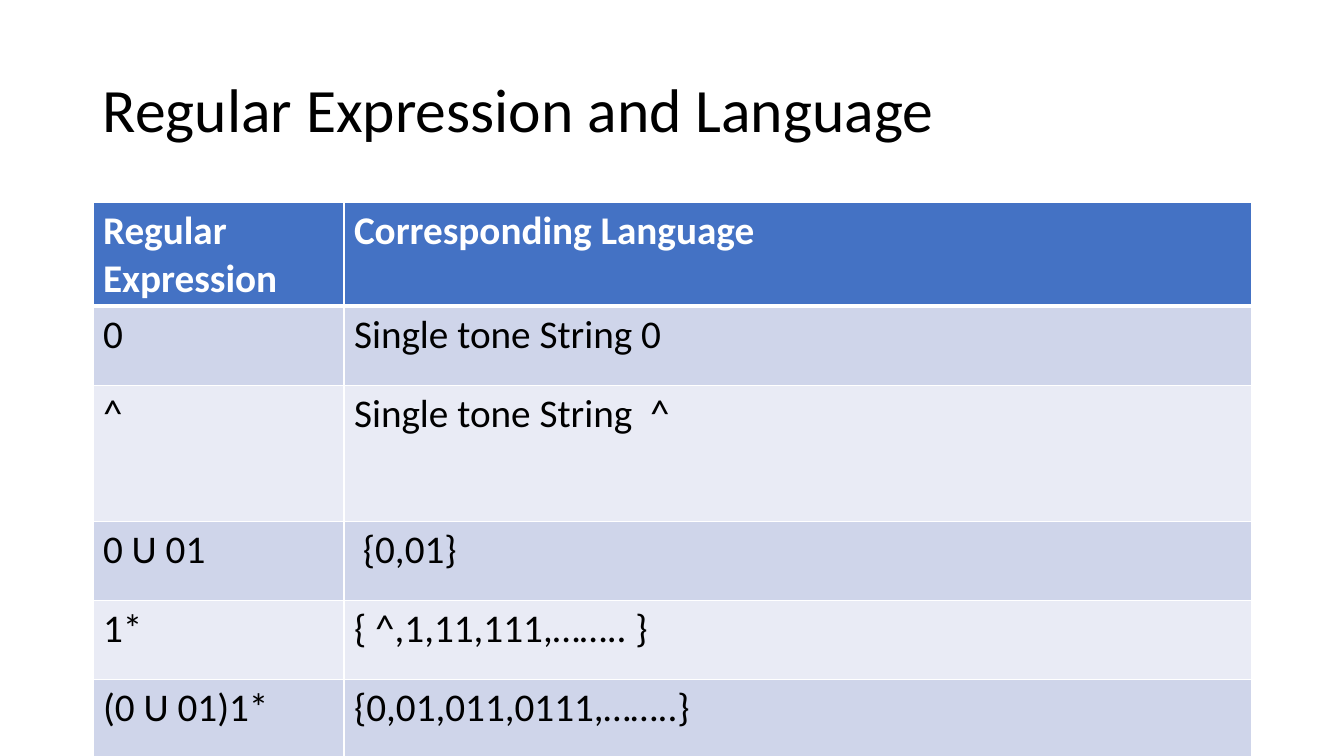
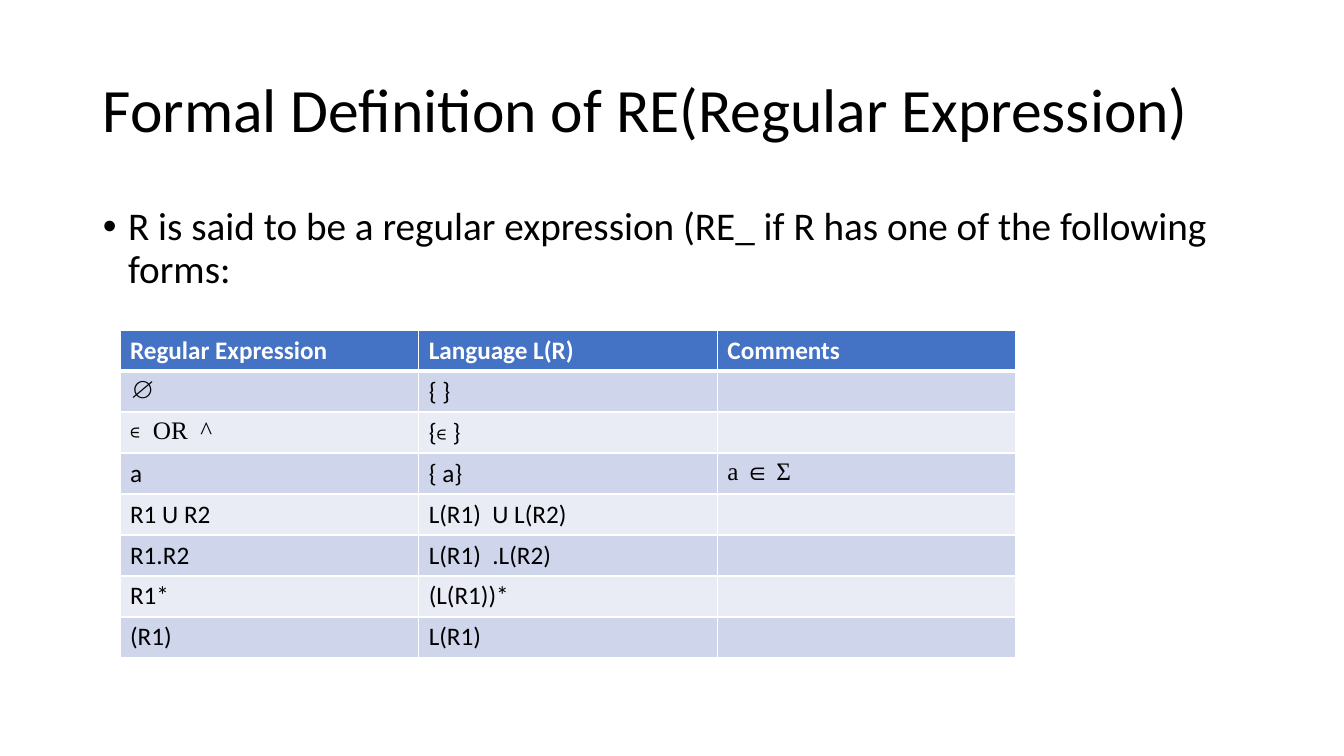
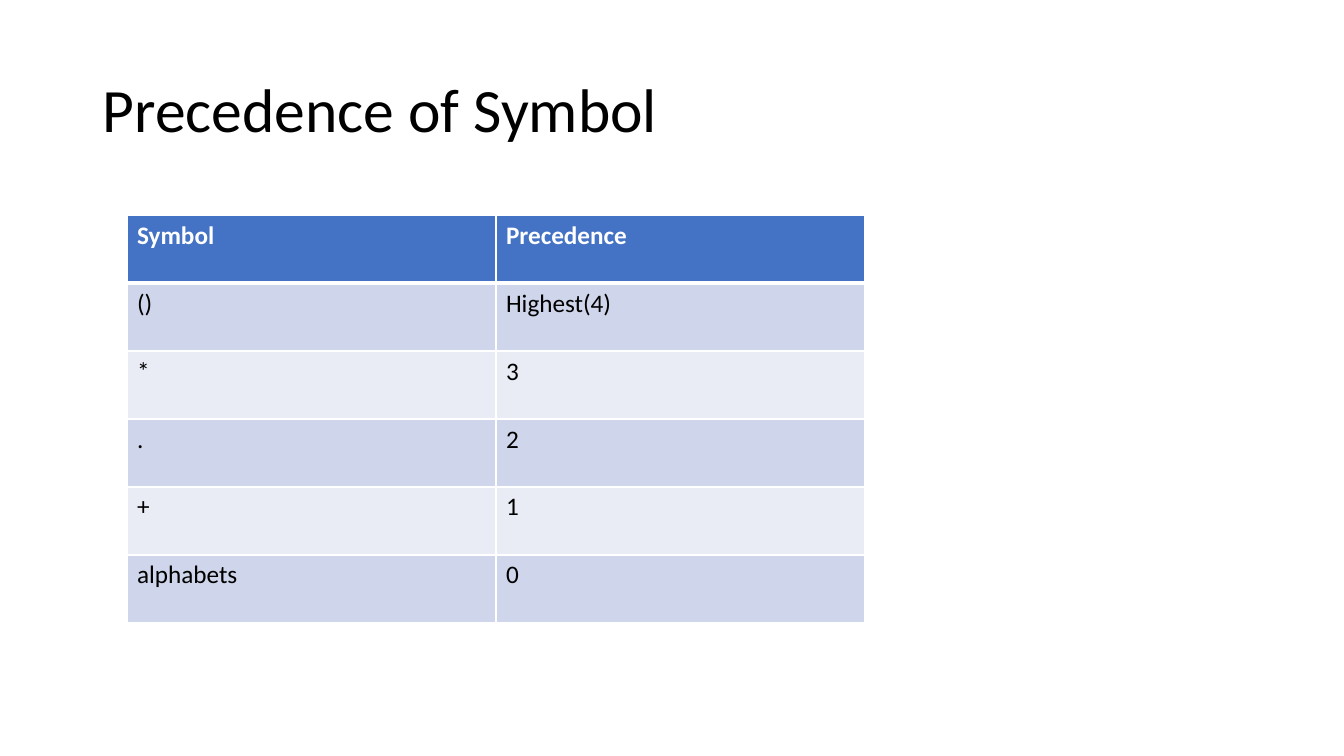
from pptx import Presentation
from pptx import util as u
from pptx.dml.color import RGBColor
from pptx.enum import text
from pptx.oxml.ns import qn
from lxml import etree

SCALE = 914400 / 100.8
COLORS = {
    "white": "FFFFFF",
    "black": "000000",
    "header": "4472C4",
    "odd_row": "CFD5EA",
    "even_row": "E9EBF5",
}
SANS = "Calibri"
SERIF = "Times New Roman"


def px(length):
    """Turn pixels into EMU."""
    return u.Emu(round(length * SCALE))


def add_runs(paragraph, content, size, color="black", bold=False):
    """Add content, a string or a list of (text, font) pairs, run by run."""
    pairs = [(content, SANS)] if isinstance(content, str) else content
    for words, font_name in pairs:
        run = paragraph.add_run()
        run.text = words
        run.font.name = font_name
        run.font.size = u.Pt(size)
        run.font.bold = bold
        run.font.color.rgb = RGBColor.from_string(COLORS[color])


def add_text(slide, box, content, size, anchor):
    """Add a wrapped text box and return its paragraph."""
    frame = slide.shapes.add_textbox(*map(px, box)).text_frame
    frame.word_wrap = True
    frame.vertical_anchor = anchor
    paragraph = frame.paragraphs[0]
    paragraph.line_spacing = 0.9
    add_runs(paragraph, content, size)
    return paragraph


def add_titled_slide(presentation, title):
    """Add a blank slide with the shared title style."""
    slide = presentation.slides.add_slide(presentation.slide_layouts[6])
    add_text(slide, (93, 40, 1159, 146), title, 44, text.MSO_ANCHOR.MIDDLE)
    return slide


def add_bullet(slide, box, content):
    """Add a bulleted paragraph with a hanging indent."""
    paragraph = add_text(slide, box, content, 28, text.MSO_ANCHOR.TOP)
    paragraph.space_before = u.Pt(10)
    properties = paragraph._p.get_or_add_pPr()
    properties.set("marL", str(u.Inches(0.25)))
    properties.set("indent", str(-u.Inches(0.25)))
    etree.SubElement(properties, qn("a:buFont"), typeface="Arial")
    etree.SubElement(properties, qn("a:buChar"), char="•")


def set_borders(cell, top, bottom):
    """Draw white cell borders; top and bottom widths are in points."""
    properties = cell._tc.get_or_add_tcPr()
    for side, width in (("L", 1), ("R", 1), ("T", top), ("B", bottom)):
        line = etree.SubElement(properties, qn(f"a:ln{side}"), w=str(u.Pt(width)))
        fill = etree.SubElement(line, qn("a:solidFill"))
        etree.SubElement(fill, qn("a:srgbClr"), val=COLORS["white"])


def add_banded_table(slide, left, top, widths, heights, rows, size):
    """Add a table with a blue header row and alternating bands."""
    frame = slide.shapes.add_table(len(rows), len(widths), px(left), px(top),
                                   px(sum(widths)), px(sum(heights)))
    table = frame.table
    table.horz_banding = False
    for column, width in zip(table.columns, widths):
        column.width = px(width)
    for row_index, (row, height) in enumerate(zip(rows, heights)):
        table.rows[row_index].height = px(height)
        is_header = row_index == 0
        band = "header" if is_header else "odd_row" if row_index % 2 else "even_row"
        for column_index, content in enumerate(row):
            cell = table.cell(row_index, column_index)
            set_borders(cell, 3 if row_index == 1 else 1, 3 if is_header else 1)
            cell.fill.solid()
            cell.fill.fore_color.rgb = RGBColor.from_string(COLORS[band])
            if content:
                add_runs(cell.text_frame.paragraphs[0], content, size,
                         "white" if is_header else "black", is_header)


def add_language_slide(presentation):
    """Show expressions beside the languages they describe."""
    slide = add_titled_slide(presentation, "Regular Expression and Language")
    rows = [
        ("Regular Expression", "Corresponding Language"),
        ("0", "Single tone String 0"),
        ("^", "Single tone String  ^"),
        ("0 U 01", " {0,01}"),
        ("1*", "{ ^,1,11,111,…….. }"),
        ("(0 U 01)1*", "{0,01,011,0111,……..}"),
    ]
    add_banded_table(slide, 93, 202, (251, 908), (79, 79, 136, 79, 79, 79), rows, 28)


def add_definition_slide(presentation):
    """Show the forms that a regular expression can take."""
    slide = add_titled_slide(presentation, "Formal Definition of RE(Regular Expression)")
    add_bullet(slide, (93, 202, 1159, 480),
               "R is said to be a regular expression (RE_ if R has one of "
               "the following forms:")
    rows = [
        ("Regular Expression", "Language L(R)", "Comments"),
        ([("∅", SERIF)], "{ }", ""),
        ([("∊  OR  ^", SERIF)], [("{", SANS), ("∊", SERIF), (" }", SANS)], ""),
        ("a", "{ a}", [("a ∈ Σ", SERIF)]),
        ("R1 U R2", "L(R1)  U L(R2)", ""),
        ("R1.R2", "L(R1)  .L(R2)", ""),
        ("R1*", "(L(R1))*", ""),
        ("(R1)", "L(R1)", ""),
    ]
    add_banded_table(slide, 120, 330, [298.67] * 3, [41] * len(rows), rows, 18)


def add_precedence_slide(presentation):
    """Rank the symbols by precedence."""
    slide = add_titled_slide(presentation, "Precedence of Symbol")
    rows = [
        ("Symbol", "Precedence"),
        ("()", "Highest(4)"),
        ("*", "3"),
        (".", "2"),
        ("+", "1"),
        ("alphabets", "0"),
    ]
    add_banded_table(slide, 127, 215, [369] * 2, [68] * len(rows), rows, 18)


def main():
    """Build and save the presentation."""
    presentation = Presentation()
    presentation.slide_width = px(1344)
    presentation.slide_height = px(756)
    add_language_slide(presentation)
    add_definition_slide(presentation)
    add_precedence_slide(presentation)
    presentation.save("out.pptx")


main()
